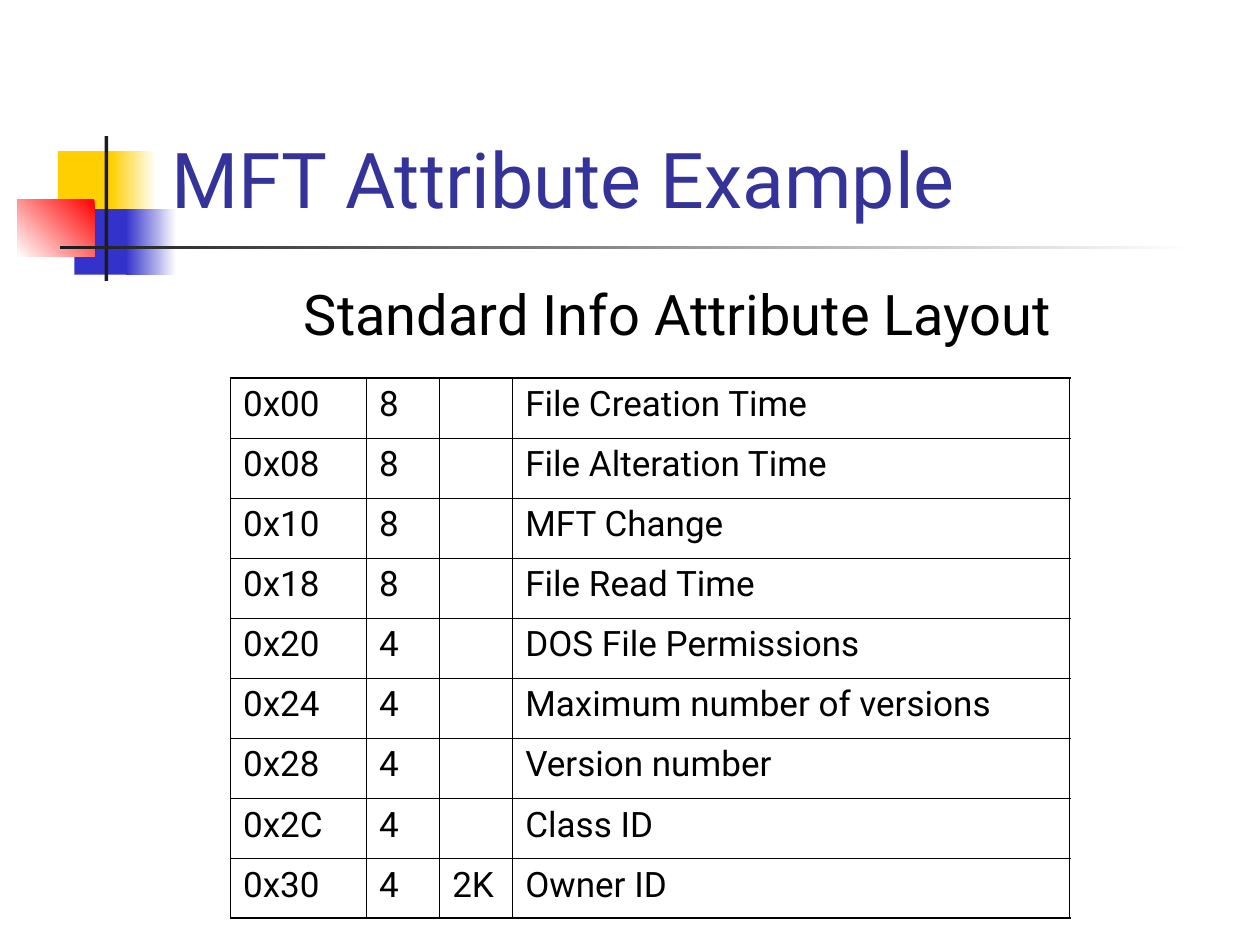
from dataclasses import dataclass

from lxml.etree import SubElement
from pptx import Presentation
from pptx.dml.color import RGBColor
from pptx.enum.shapes import MSO_SHAPE
from pptx.enum.text import MSO_ANCHOR, MSO_AUTO_SIZE, PP_ALIGN
from pptx.oxml.ns import qn
from pptx.slide import Slide
from pptx.table import _Cell
from pptx.util import Inches, Pt

FONT = "Roboto"
BLACK = "000000"
OUTER_WIDTH = 1.08
INNER_WIDTH = 0.45


@dataclass(frozen=True)
class Block:
    left: float
    top: float
    width: float
    height: float
    color: str
    end_color: str = ""
    angle: int = 0


@dataclass(frozen=True)
class Field:
    offset: str
    size: str
    system: str
    description: str

    def values(self) -> tuple[str, ...]:
        return self.offset, self.size, self.system, self.description


BLOCKS = [
    Block(0.46, 1.2, 0.48, 0.52, "FFCF01"),
    Block(0.88, 1.2, 0.36, 0.52, "FFFFFF", "FFCF01", 180),
    Block(0.59, 1.66, 0.46, 0.52, "3333CC"),
    Block(1, 1.66, 0.4, 0.52, "FFFFFF", "3333CC", 180),
    Block(0.14, 1.58, 0.61, 0.46, "FF0000", "FFFFFF", 225),
    Block(0.83, 1.08, 0.03, 1.15, "1C1C1C"),
    Block(0.48, 1.95, 9, 0.03, "FFFFFF", "1C1C1C", 180),
]

FIELDS = [
    Field("0x00", "8", "", "File Creation Time"),
    Field("0x08", "8", "", "File Alteration Time"),
    Field("0x10", "8", "", "MFT Change"),
    Field("0x18", "8", "", "File Read Time"),
    Field("0x20", "4", "", "DOS File Permissions"),
    Field("0x24", "4", "", "Maximum number of versions"),
    Field("0x28", "4", "", "Version number"),
    Field("0x2C", "4", "", "Class ID"),
    Field("0x30", "4", "2K", "Owner ID"),
]
COLUMN_WIDTHS = [1.08, 0.58, 0.58, 4.42]
TABLE_HEIGHT = 4.29


def rgb(color: str) -> RGBColor:
    return RGBColor.from_string(color)


def write(frame, text: str, size: int, color: str, align=PP_ALIGN.LEFT, before: int = 0) -> None:
    frame.text = text
    para = frame.paragraphs[0]
    para.alignment = align
    para.space_before = Pt(before)
    para.font.name = FONT
    para.font.size = Pt(size)
    para.font.color.rgb = rgb(color)


def draw_block(page: Slide, block: Block) -> None:
    shape = page.shapes.add_shape(
        MSO_SHAPE.RECTANGLE,
        Inches(block.left), Inches(block.top), Inches(block.width), Inches(block.height),
    )
    shape.shadow.inherit = False
    shape.line.fill.background()
    if block.end_color:
        shape.fill.gradient()
        shape.fill.gradient_angle = block.angle
        for stop, color in zip(shape.fill.gradient_stops, (block.color, block.end_color)):
            stop.color.rgb = rgb(color)
    else:
        shape.fill.solid()
        shape.fill.fore_color.rgb = rgb(block.color)


def draw_borders(cell: _Cell, outer_sides: dict[str, bool]) -> None:
    properties = cell._tc.get_or_add_tcPr()
    for side, is_outer in outer_sides.items():
        width = Pt(OUTER_WIDTH if is_outer else INNER_WIDTH)
        line = SubElement(properties, qn(f"a:ln{side}"), w=str(int(width)))
        fill = SubElement(line, qn("a:solidFill"))
        SubElement(fill, qn("a:srgbClr"), val=BLACK)


def draw_table(page: Slide) -> None:
    last_row, last_column = len(FIELDS) - 1, len(COLUMN_WIDTHS) - 1
    table = page.shapes.add_table(
        len(FIELDS), len(COLUMN_WIDTHS),
        Inches(1.83), Inches(3), Inches(sum(COLUMN_WIDTHS)), Inches(TABLE_HEIGHT),
    ).table
    table.first_row = False
    table.horz_banding = False
    for column, width in zip(table.columns, COLUMN_WIDTHS):
        column.width = Inches(width)
    for row_index, field in enumerate(FIELDS):
        table.rows[row_index].height = Inches(TABLE_HEIGHT / len(FIELDS))
        for column_index, value in enumerate(field.values()):
            cell = table.cell(row_index, column_index)
            draw_borders(cell, {
                "L": column_index == 0,
                "R": column_index == last_column,
                "T": row_index == 0,
                "B": row_index == last_row,
            })
            cell.fill.background()
            write(cell.text_frame, value, 20, BLACK, before=5)


def draw_title(page: Slide) -> None:
    title = page.shapes.title
    title.left, title.top = Inches(1.26), Inches(0.23)
    title.width, title.height = Inches(8.52), Inches(1.6)
    title.text_frame.vertical_anchor = MSO_ANCHOR.BOTTOM
    title.text_frame.auto_size = MSO_AUTO_SIZE.NONE
    write(title.text_frame, "MFT Attribute Example", 44, "333399")


def draw_subtitle(page: Slide) -> None:
    box = page.shapes.add_textbox(Inches(1.17), Inches(2.17), Inches(8.42), Inches(0.64))
    box.text_frame.word_wrap = True
    box.text_frame.auto_size = MSO_AUTO_SIZE.SHAPE_TO_FIT_TEXT
    write(box.text_frame, "Standard Info Attribute Layout", 32, BLACK, PP_ALIGN.CENTER, 20)


def build() -> None:
    deck = Presentation()
    deck.slide_width, deck.slide_height = Inches(10), Inches(7.5)
    page = deck.slides.add_slide(deck.slide_layouts.get_by_name("Title Only"))
    for block in BLOCKS:
        draw_block(page, block)
    draw_title(page)
    draw_table(page)
    draw_subtitle(page)
    deck.save("out.pptx")


build()
